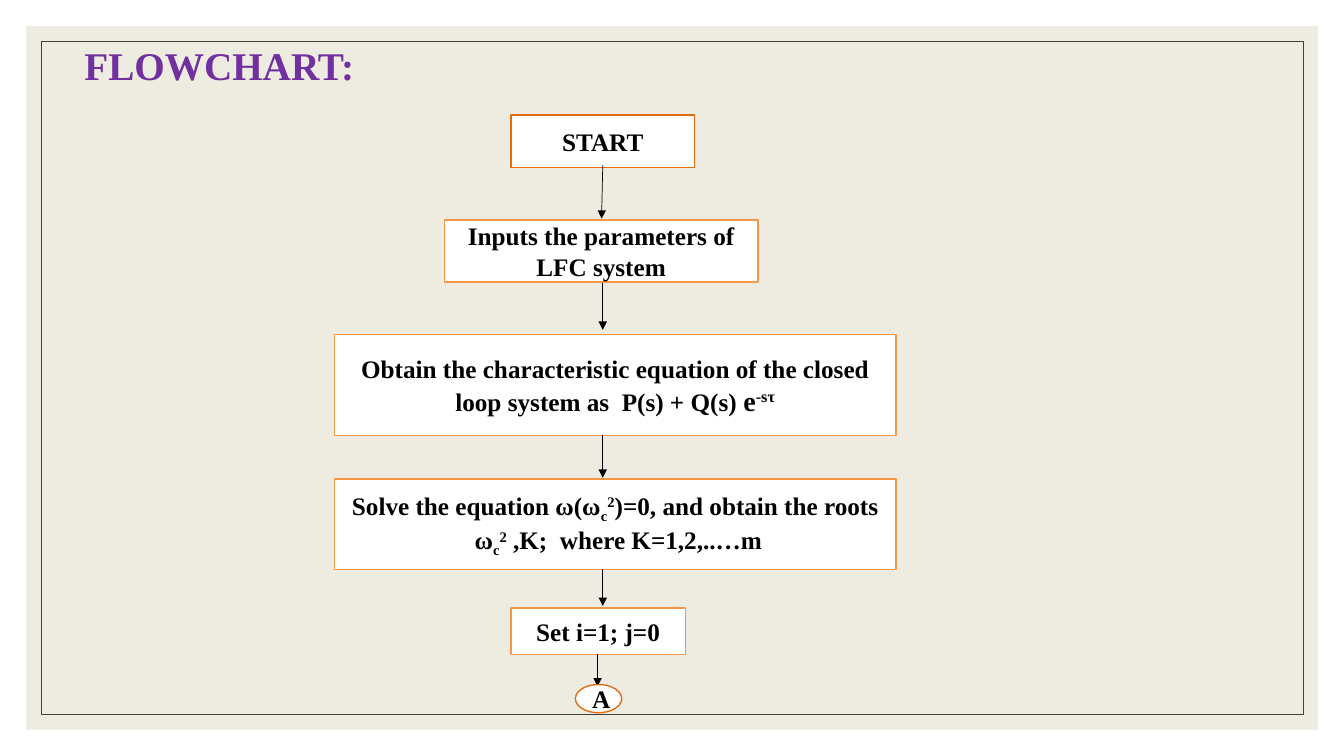
from dataclasses import dataclass

import pptx
import pptx.dml.color
import pptx.enum.shapes
import pptx.enum.text
import pptx.util
from lxml import etree
from pptx.oxml import ns

Cm, Pt = pptx.util.Cm, pptx.util.Pt
SHAPE = pptx.enum.shapes.MSO_SHAPE
FONT = "Times New Roman"
COLORS = {
    "panel": "EEECE1",
    "frame": "404040",
    "title": "7030A0",
    "box": "FFFFFF",
    "terminal": "E46C0A",
    "step": "F79646",
    "ink": "000000",
}
SUB, SUP = -25000, 30000


@dataclass
class Span:
    text: str
    size: int = 18
    baseline: int = 0
    color: str = "ink"


@dataclass
class Step:
    left: float
    top: float
    width: float
    height: float
    lines: list[list[Span]]
    line: str = "step"
    kind: int = SHAPE.RECTANGLE


@dataclass
class Arrow:
    x1: float
    y1: float
    x2: float
    y2: float


def rgb(name: str) -> pptx.dml.color.RGBColor:
    return pptx.dml.color.RGBColor.from_string(COLORS[name])


def add_spans(p, spans: list[Span]) -> None:
    for span in spans:
        r = p.add_run()
        r.text = span.text
        r.font.name = FONT
        r.font.size = Pt(span.size)
        r.font.bold = True
        r.font.color.rgb = rgb(span.color)
        if span.baseline:
            r.font._element.set("baseline", str(span.baseline))


def add_box(s, kind: int, left: float, top: float, width: float, height: float,
            fill: str = "", line: str = "", weight: float = 1):
    sp = s.shapes.add_shape(kind, Cm(left), Cm(top), Cm(width), Cm(height))
    sp.shadow.inherit = False
    if fill:
        sp.fill.solid()
        sp.fill.fore_color.rgb = rgb(fill)
    else:
        sp.fill.background()
    if line:
        sp.line.color.rgb = rgb(line)
        sp.line.width = Pt(weight)
    else:
        sp.line.fill.background()
    return sp


def add_step(s, step: Step) -> None:
    sp = add_box(s, step.kind, step.left, step.top, step.width, step.height,
                 "box", step.line)
    tf = sp.text_frame
    tf.word_wrap = True
    tf.vertical_anchor = pptx.enum.text.MSO_ANCHOR.MIDDLE
    for i, spans in enumerate(step.lines):
        p = tf.add_paragraph() if i else tf.paragraphs[0]
        p.alignment = pptx.enum.text.PP_ALIGN.CENTER
        add_spans(p, spans)


def add_arrow(s, arrow: Arrow) -> None:
    cx = s.shapes.add_connector(
        pptx.enum.shapes.MSO_CONNECTOR.STRAIGHT,
        Cm(arrow.x1), Cm(arrow.y1), Cm(arrow.x2), Cm(arrow.y2))
    cx.line.color.rgb = rgb("ink")
    cx.line.width = Pt(0.5)
    etree.SubElement(cx.line._get_or_add_ln(), ns.qn("a:tailEnd"), type="triangle")
    etree.SubElement(cx._element.spPr, ns.qn("a:effectLst"))


OMEGA_C_SQUARED = [Span("c", baseline=SUB), Span("2", baseline=SUP)]
STEPS = [
    Step(12.88, 2.9, 4.62, 1.32, [[Span("START")]], "terminal"),
    Step(11.2, 5.54, 7.9, 1.57, [[Span("Inputs the parameters of LFC system")]]),
    Step(8.43, 8.43, 14.15, 2.54, [
        [Span("Obtain the characteristic equation of the closed")],
        [Span("loop system as  P(s) + Q(s) "), Span("e", 20), Span("-sτ", 20, SUP)],
    ]),
    Step(8.43, 12.07, 14.15, 2.29, [
        [Span("Solve the equation ω(ω"), *OMEGA_C_SQUARED,
         Span(")=0, and obtain the roots")],
        [Span(" ω"), *OMEGA_C_SQUARED, Span(" ,K;  where K=1,2,..…m")],
    ]),
    Step(12.88, 15.32, 4.39, 1.17, [[Span("Set i=1; j=0")]]),
    Step(14.5, 17.25, 1.17, 0.71, [[Span("A")]], "terminal", SHAPE.OVAL),
]
ARROWS = [
    Arrow(15.19, 4.17, 15.16, 5.51),
    Arrow(15.19, 7.14, 15.19, 8.31),
    Arrow(15.19, 10.95, 15.19, 12.04),
    Arrow(15.19, 14.35, 15.19, 15.27),
    Arrow(15.06, 16.48, 15.06, 17.3),
]


def main() -> None:
    prs = pptx.Presentation()
    prs.slide_width, prs.slide_height = Cm(33.87), Cm(19.05)
    s = prs.slides.add_slide(prs.slide_layouts[6])

    # Background panel and frame
    add_box(s, SHAPE.RECTANGLE, 0.66, 0.66, 32.56, 17.73, fill="panel")
    add_box(s, SHAPE.RECTANGLE, 1.04, 1.04, 31.8, 16.97, line="frame", weight=0.5)

    # Title
    tf = s.shapes.add_textbox(Cm(1.88), Cm(1.09), Cm(29.87), Cm(16.94)).text_frame
    tf.word_wrap = True
    p = tf.paragraphs[0]
    p.space_before = Pt(9)
    p.line_spacing = 0.85
    add_spans(p, [Span("FLOWCHART:", 28, color="title")])

    # Flowchart, each arrow drawn between two steps
    for i, step in enumerate(STEPS):
        if i:
            add_arrow(s, ARROWS[i - 1])
        add_step(s, step)

    prs.save("out.pptx")


if __name__ == "__main__":
    main()
